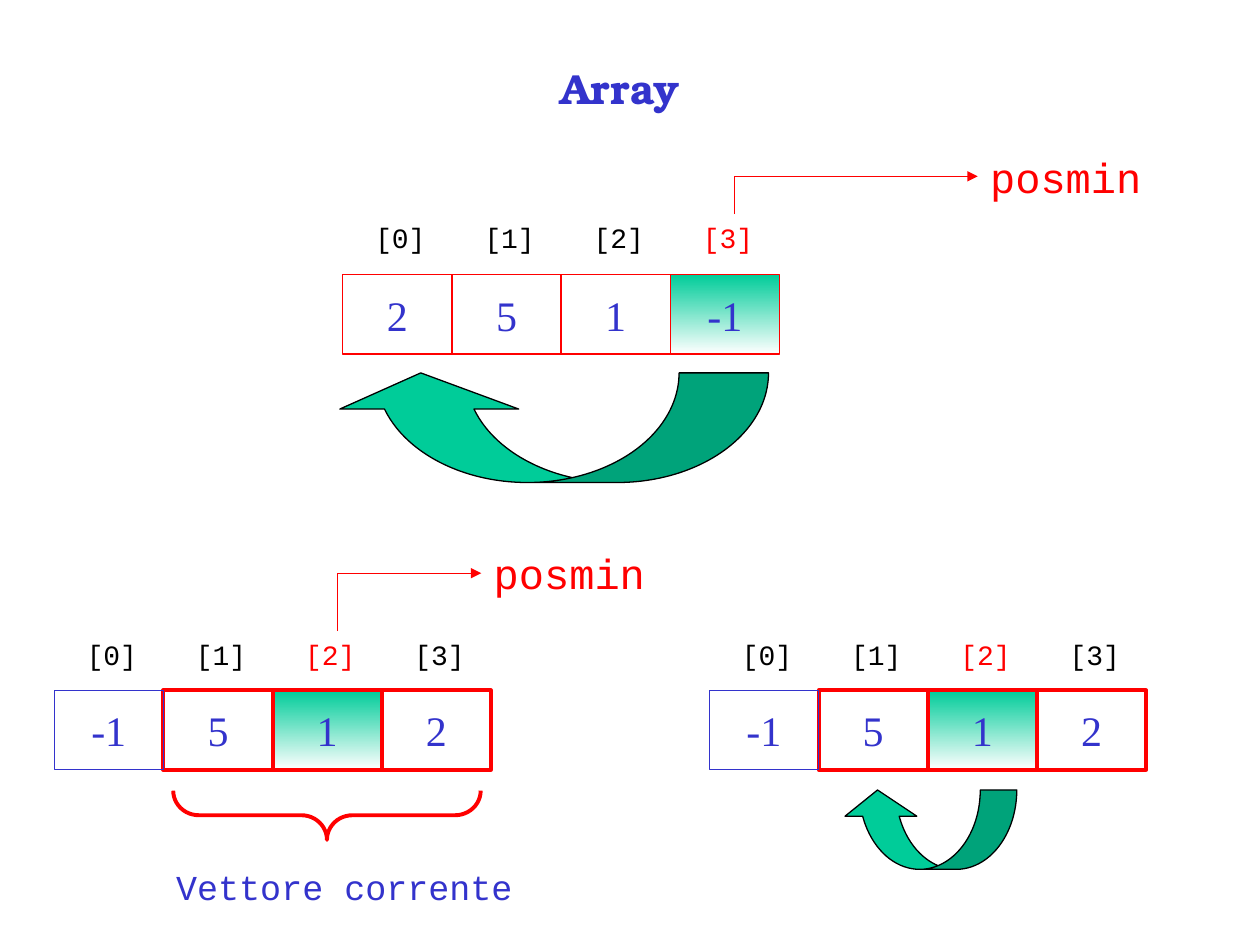
from dataclasses import dataclass
from typing import Optional

from lxml.etree import SubElement
from pptx import Presentation
from pptx.dml.color import RGBColor
from pptx.enum.shapes import MSO_CONNECTOR, MSO_SHAPE
from pptx.enum.text import MSO_ANCHOR, MSO_AUTO_SIZE, PP_ALIGN
from pptx.oxml.ns import qn
from pptx.util import Inches, Pt

BLUE = RGBColor(0x33, 0x33, 0xCC)
RED = RGBColor(0xFF, 0x00, 0x00)
GREEN = RGBColor(0x00, 0xCC, 0x99)
BLACK = RGBColor(0x00, 0x00, 0x00)
WHITE = RGBColor(0xFF, 0xFF, 0xFF)

MONO, SERIF, TITLE_FONT = "Courier New", "Times New Roman", "TeX Gyre Bonum"
PITCH = 2.6 / 3  # cell width, so that neighbours share an edge
CELL_H = 0.63
THIN, THICK = 0.74, 2.24


@dataclass
class Array:
    left: float
    top: float
    label_top: float
    values: tuple[str, ...]
    minimum: int
    weight: float
    sorted_cells: int = 0


@dataclass
class Label:
    text: str
    left: float
    top: float
    width: float
    height: float
    size: float
    color: RGBColor


@dataclass
class Pointer:
    x: float
    bottom: float
    right: float
    top: float


@dataclass
class Swap:
    left: float
    top: float
    width: float
    height: float
    shaft: float
    head: float


ARRAYS = [
    Array(2.72, 2.18, 1.7, ("2", "5", "1", "-1"), 3, THIN),
    Array(0.43, 5.48, 5.01, ("-1", "5", "1", "2"), 2, THICK, 1),
    Array(5.63, 5.48, 5.01, ("-1", "5", "1", "2"), 2, THICK, 1),
]
LABELS = [
    Label("posmin", 7.76, 1.15, 1.5, 0.5, 24, RED),
    Label("posmin", 3.82, 4.3, 1.5, 0.5, 24, RED),
    Label("Vettore corrente", 1.3, 6.82, 3.54, 0.44, 20, BLUE),
]
POINTERS = [Pointer(5.83, 1.7, 7.76, 1.4), Pointer(2.68, 5.01, 3.82, 4.55)]
SWAPS = [
    Swap(2.63, 2.96, 3.47, 0.87, 0.71, 1.42),
    Swap(6.68, 6.27, 1.39, 0.63, 0.29, 0.57),
]

prs = Presentation()
prs.slide_width, prs.slide_height = Inches(10), Inches(7.5)
slide = prs.slides.add_slide(prs.slide_layouts[5])
shapes = slide.shapes


def write(tf, text: str, size: float, font: str, color: RGBColor,
          align: Optional[PP_ALIGN] = None, bold: bool = False) -> None:
    p = tf.paragraphs[0]
    p.alignment = align
    r = p.add_run()
    r.text = text
    for name, value in {"size": Pt(size), "name": font, "bold": bold}.items():
        setattr(r.font, name, value)
    r.font.color.rgb = color


def outline(sp, color: RGBColor, weight: float) -> None:
    sp.line.color.rgb = color
    sp.line.width = Pt(weight)


def add_preset(kind: MSO_SHAPE, left: float, top: float, width: float,
               height: float, color: RGBColor, weight: float):
    sp = shapes.add_shape(kind, Inches(left), Inches(top),
                          Inches(width), Inches(height))
    sp.shadow.inherit = False
    sp.fill.background()
    outline(sp, color, weight)
    return sp


def add_label(label: Label) -> None:
    sp = shapes.add_textbox(Inches(label.left), Inches(label.top),
                            Inches(label.width), Inches(label.height))
    tf = sp.text_frame
    tf.word_wrap = True
    tf.auto_size = MSO_AUTO_SIZE.SHAPE_TO_FIT_TEXT
    write(tf, label.text, label.size, MONO, label.color)
    tf.paragraphs[0].space_before = Pt(label.size * 0.625)


def add_cell(array: Array, i: int) -> None:
    done = i < array.sorted_cells
    sp = add_preset(MSO_SHAPE.RECTANGLE, array.left + i * PITCH, array.top,
                    PITCH, CELL_H, BLUE if done else RED,
                    THIN if done else array.weight)
    if i == array.minimum:
        sp.fill.gradient()
        sp.fill.gradient_angle = 270
        for stop, color, pos in zip(sp.fill.gradient_stops, (GREEN, WHITE), (0, 1)):
            stop.color.rgb = color
            stop.position = pos
    tf = sp.text_frame
    tf.word_wrap = False
    tf.vertical_anchor = MSO_ANCHOR.MIDDLE
    write(tf, array.values[i], 24, SERIF, BLUE, PP_ALIGN.CENTER)


def add_array(array: Array) -> None:
    # Sorted cells go last so their outline stays on top
    count = len(array.values)
    for i in sorted(range(count), key=lambda n: n < array.sorted_cells):
        add_cell(array, i)
    for i in range(count):
        add_label(Label(f"[{i}]", array.left + 0.16 + i * PITCH, array.label_top,
                        0.71, 0.37, 16, RED if i == array.minimum else BLACK))


def add_pointer(ptr: Pointer) -> None:
    # A quarter turn makes the elbow rise first, then run right
    cx, cy = (ptr.x + ptr.right) / 2, (ptr.top + ptr.bottom) / 2
    dx, dy = (ptr.bottom - ptr.top) / 2, (ptr.right - ptr.x) / 2
    cn = shapes.add_connector(MSO_CONNECTOR.ELBOW, Inches(cx + dx), Inches(cy + dy),
                              Inches(cx - dx), Inches(cy - dy))
    outline(cn, RED, THIN)
    pr = cn._element.spPr
    pr.find(qn("a:xfrm")).set("rot", "5400000")
    pr.find(qn("a:prstGeom")).set("prst", "bentConnector2")
    SubElement(pr.find(qn("a:ln")), qn("a:tailEnd"), type="triangle")
    SubElement(pr, qn("a:effectLst"))


def add_swap(swap: Swap) -> None:
    sp = add_preset(MSO_SHAPE.CURVED_UP_ARROW, swap.left, swap.top,
                    swap.width, swap.height, BLACK, THIN)
    sp.fill.solid()
    sp.fill.fore_color.rgb = GREEN
    for i, size in enumerate((swap.shaft, swap.head)):
        sp.adjustments[i] = size / swap.height
    sp.adjustments[2] = 0.33
    sp._element.spPr.find(qn("a:xfrm")).set("flipH", "1")


# Title
title = shapes.title
for name, value in {"left": 0.67, "top": 0.36, "width": 8.5, "height": 0.67}.items():
    setattr(title, name, Inches(value))
title.text_frame.vertical_anchor = MSO_ANCHOR.MIDDLE
write(title.text_frame, "Array", 24, TITLE_FONT, BLUE, PP_ALIGN.CENTER, True)

# Arrays, their pointers, swaps and captions
for draw, items in ((add_array, ARRAYS), (add_pointer, POINTERS),
                    (add_swap, SWAPS), (add_label, LABELS)):
    for item in items:
        draw(item)

# Brace under the unsorted part
brace = add_preset(MSO_SHAPE.LEFT_BRACE, 2.4, 5.25, 0.39, 2.44, RED, THICK)
brace.rotation = 270
brace.adjustments[0] = 0.52

prs.save("out.pptx")
